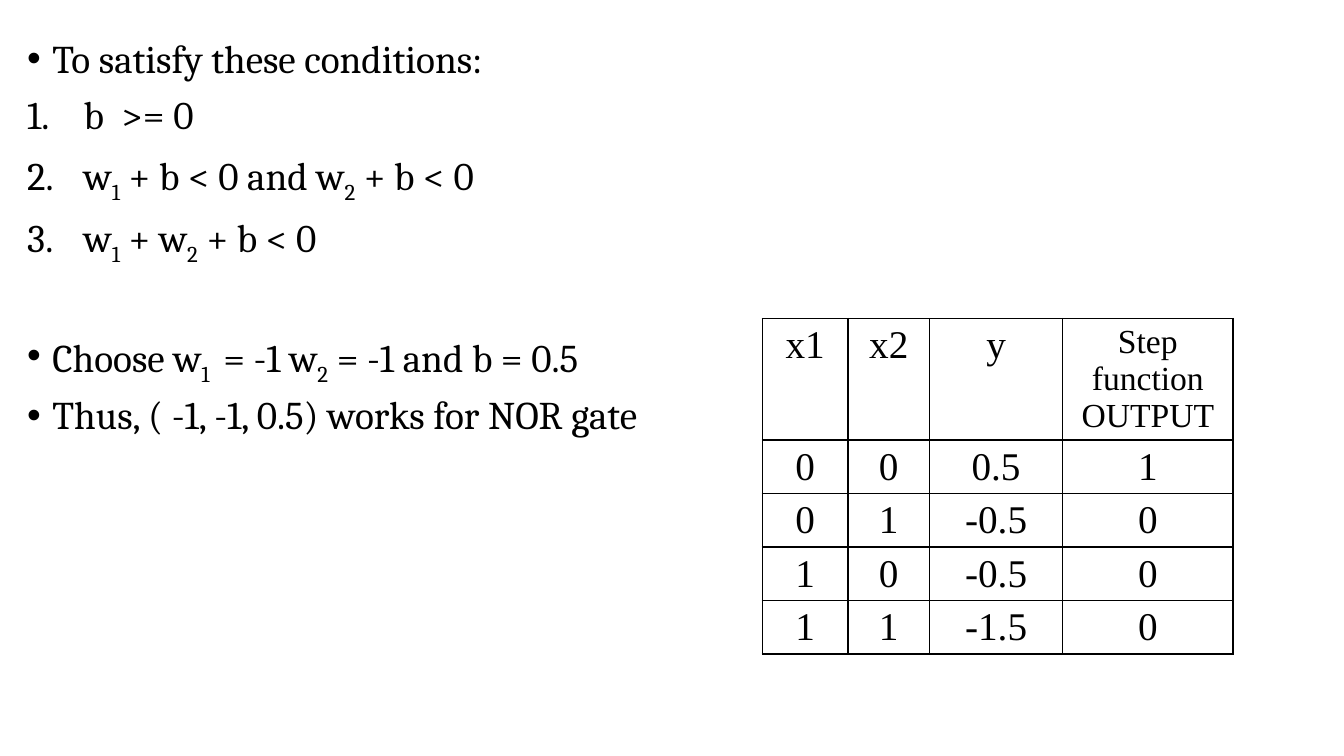
from dataclasses import dataclass

from lxml.etree import SubElement
from pptx import Presentation
from pptx.dml.color import RGBColor
from pptx.enum.text import MSO_ANCHOR, MSO_AUTO_SIZE, PP_ALIGN
from pptx.oxml import parse_xml
from pptx.oxml.ns import nsdecls, qn
from pptx.util import Inches, Pt

COLORS = {"ink": "000000"}
BODY_FONT = "Cambria"
TABLE_FONT = "Times New Roman"
TEXT_SIZE = 28
HEADER_SIZE = 24


@dataclass(frozen=True)
class Line:
    pieces: tuple[str, ...]
    numbered: bool = False
    space_before: float = 10


LINES = [
    Line(("To satisfy these conditions:",), space_before=0),
    Line(("b  >= 0",), numbered=True),
    Line(("w", "1", " + b < 0 and w", "2", " + b < 0"), numbered=True),
    Line(("w", "1", " + w", "2", " + b < 0"), numbered=True),
    Line(("Choose w", "1 ", " = -1 w", "2", " = -1 and b = 0.5"), space_before=51),
    Line(("Thus, ( -1, -1, 0.5) works for NOR gate",)),
]

TRUTH_TABLE = [
    ("x1", "x2", "y", "Step function OUTPUT"),
    ("0", "0", "0.5", "1"),
    ("0", "1", "-0.5", "0"),
    ("1", "0", "-0.5", "0"),
    ("1", "1", "-1.5", "0"),
]
COLUMN_WIDTHS = (0.85, 0.81, 1.32, 1.69)
ROW_HEIGHTS = (0.72, 0.41, 0.41, 0.41, 0.41)


def add_span(para, text: str, font_name: str, size: float, subscript: bool = False) -> None:
    span = para.add_run()
    span.text = text
    span.font.name = font_name
    span.font.size = Pt(size)
    span.font.bold = False
    span.font.color.rgb = RGBColor.from_string(COLORS["ink"])
    if subscript:
        span._r.get_or_add_rPr().set("baseline", "-25000")


def set_bullet(para, numbered: bool) -> None:
    properties = para._p.get_or_add_pPr()
    indent = Inches(0.56 if numbered else 0.25)
    properties.set("marL", str(indent))
    properties.set("indent", str(-indent))
    if numbered:
        SubElement(properties, qn("a:buFont")).set("typeface", "+mj-lt")
        SubElement(properties, qn("a:buAutoNum")).set("type", "arabicPeriod")
    else:
        SubElement(properties, qn("a:buFont")).set("typeface", "Arial")
        SubElement(properties, qn("a:buChar")).set("char", "•")


def fill_body(body, lines: list[Line]) -> None:
    body.left, body.top = Inches(0.17), Inches(0.34)
    body.width, body.height = Inches(12.98), Inches(6.98)
    frame = body.text_frame
    frame.word_wrap = True
    frame.auto_size = MSO_AUTO_SIZE.NONE
    frame.vertical_anchor = MSO_ANCHOR.TOP
    for index, line in enumerate(lines):
        para = frame.add_paragraph() if index else frame.paragraphs[0]
        set_bullet(para, line.numbered)
        para.alignment = PP_ALIGN.LEFT
        para.line_spacing = 0.9
        para.space_before = Pt(line.space_before)
        for position, piece in enumerate(line.pieces):
            add_span(para, piece, BODY_FONT, TEXT_SIZE, subscript=position % 2 == 1)


def set_borders(cell) -> None:
    properties = cell._tc.get_or_add_tcPr()
    for index, side in enumerate(("lnL", "lnR", "lnT", "lnB")):
        border = parse_xml(
            f'<a:{side} {nsdecls("a")} w="{Pt(1)}"><a:solidFill>'
            f'<a:srgbClr val="{COLORS["ink"]}"/></a:solidFill></a:{side}>'
        )
        properties.insert(index, border)


def add_truth_table(page) -> None:
    holder = page.shapes.add_table(
        len(TRUTH_TABLE), len(COLUMN_WIDTHS),
        Inches(7.56), Inches(3.16), Inches(4.67), Inches(3.57),
    )
    table = holder.table
    table.first_row = False
    table.horz_banding = False
    for column, width in zip(table.columns, COLUMN_WIDTHS):
        column.width = Inches(width)
    for row, height in zip(table.rows, ROW_HEIGHTS):
        row.height = Inches(height)
    holder.height = Inches(3.57)
    for row, values in zip(table.rows, TRUTH_TABLE):
        for cell, value in zip(row.cells, values):
            cell.fill.background()
            set_borders(cell)
            para = cell.text_frame.paragraphs[0]
            para.alignment = PP_ALIGN.CENTER
            size = HEADER_SIZE if value == "Step function OUTPUT" else TEXT_SIZE
            add_span(para, value, TABLE_FONT, size)


def main() -> None:
    deck = Presentation()
    deck.slide_width, deck.slide_height = Inches(13.33), Inches(7.5)
    page = deck.slides.add_slide(deck.slide_layouts[1])
    title = page.shapes.title
    title.element.getparent().remove(title.element)
    fill_body(page.placeholders[1], LINES)
    add_truth_table(page)
    deck.save("out.pptx")


if __name__ == "__main__":
    main()
